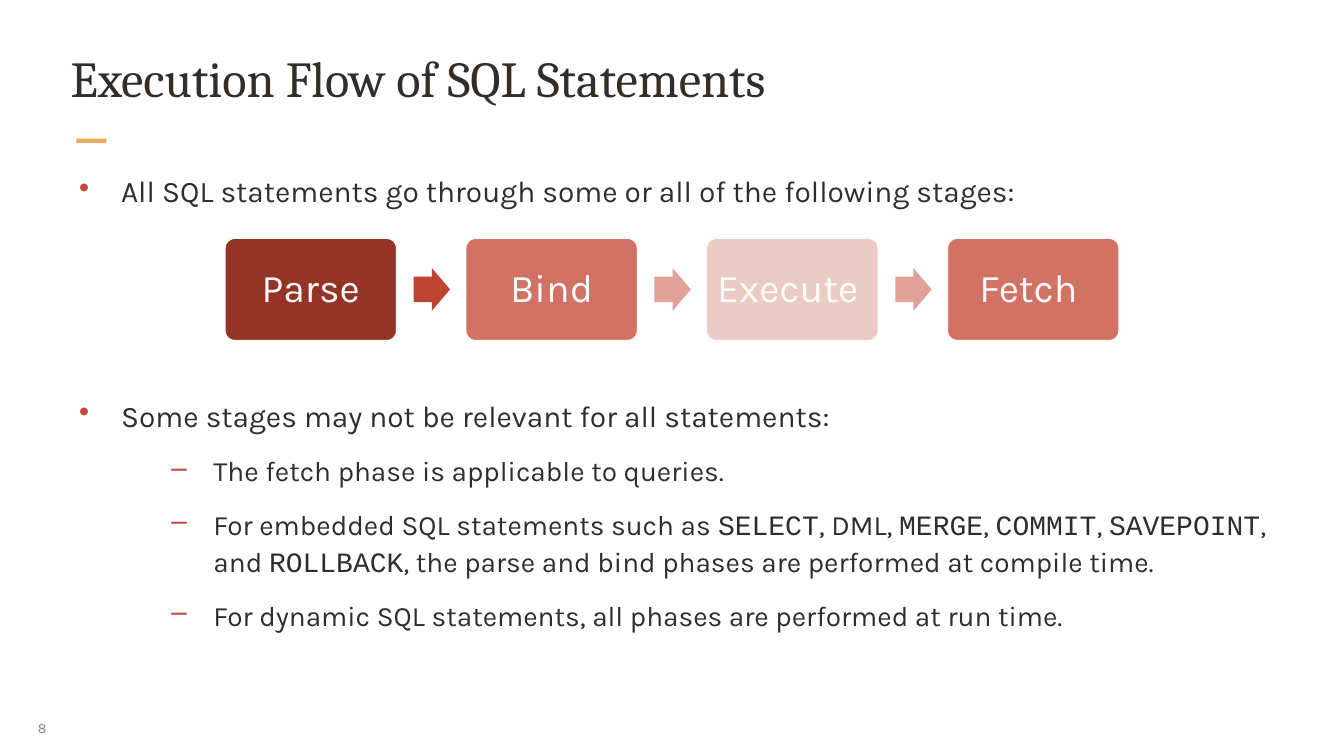
"""Build the slide on the execution flow of SQL statements."""
from lxml import etree
from pptx import Presentation
from pptx.dml.color import RGBColor
from pptx.enum.shapes import MSO_SHAPE
from pptx.enum.text import MSO_ANCHOR, PP_ALIGN
from pptx.oxml.ns import qn
from pptx.util import Pt

PX = 9525
RECTANGLE = MSO_SHAPE.RECTANGLE
ROUNDED = MSO_SHAPE.ROUNDED_RECTANGLE
ARROW = MSO_SHAPE.RIGHT_ARROW
TOP, MIDDLE = MSO_ANCHOR.TOP, MSO_ANCHOR.MIDDLE
LEFT, CENTER = PP_ALIGN.LEFT, PP_ALIGN.CENTER
INK, PAPER, ACCENT = "312D2A", "FCFBFA", "C74634"


def add_filled(kind, left, top, width, height, fill):
    shape = slide.shapes.add_shape(kind, left * PX, top * PX, width * PX, height * PX)
    shape.shadow.inherit = False
    shape.fill.solid()
    shape.fill.fore_color.rgb = RGBColor.from_string(fill)
    shape.line.fill.background()
    return shape


def write_text(shape, text, size, color=INK, font="Karla", inset=3, wrap=True, anchor=TOP,
               align=LEFT, spacing=1.0, before=0, bullet=None, indent=0):
    """Append one paragraph; parts between backticks are set as code."""
    frame = shape.text_frame
    frame.word_wrap = wrap
    frame.vertical_anchor = anchor
    frame.margin_left = frame.margin_right = inset * PX
    frame.margin_top = frame.margin_bottom = inset * PX
    paragraph = frame.paragraphs[0]
    if paragraph.runs:
        paragraph = frame.add_paragraph()
        paragraph.space_before = Pt(before)
    if bullet:
        properties = paragraph._p.get_or_add_pPr()
        properties.set("marL", str(indent * PX))
        properties.set("indent", str(-60 * PX))
        bullet_color = etree.SubElement(properties, qn("a:buClr"))
        etree.SubElement(bullet_color, qn("a:srgbClr"), val=ACCENT)
        etree.SubElement(properties, qn("a:buChar"), char=bullet)
    paragraph.alignment = align
    paragraph.line_spacing = spacing
    for index, part in enumerate(text.split("`")):
        run = paragraph.add_run()
        run.text = part
        run.font.size = Pt(size)
        run.font.name = "Courier New" if index % 2 else font
        run.font.color.rgb = RGBColor.from_string(color)


presentation = Presentation()
presentation.slide_width = 1920 * PX
presentation.slide_height = 1080 * PX
slide = presentation.slides.add_slide(presentation.slide_layouts[6])

add_filled(RECTANGLE, 109, 198, 43, 6, "E6AC58")

page_number = slide.shapes.add_textbox(42 * PX, 1012 * PX, 62 * PX, 56 * PX)
write_text(page_number, "8", 15, color="8B8078", inset=12, wrap=False, anchor=MIDDLE)

title = slide.shapes.add_textbox(98 * PX, 64 * PX, 1724 * PX, 123 * PX)
write_text(title, "Execution Flow of SQL Statements", 54, font="Cambria")

intro = slide.shapes.add_textbox(98 * PX, 239 * PX, 1724 * PX, 70 * PX)
write_text(intro, "All SQL statements go through some or all of the following stages:", 32,
           spacing=1.1, bullet="•", indent=72)

details = slide.shapes.add_textbox(98 * PX, 560 * PX, 1724 * PX, 400 * PX)
write_text(details, "Some stages may not be relevant for all statements:", 32,
           spacing=1.1, bullet="•", indent=72)
for note in (
    "The fetch phase is applicable to queries.",
    "For embedded SQL statements such as `SELECT`, DML, `MERGE`, `COMMIT`, `SAVEPOINT`, "
    "and `ROLLBACK`, the parse and bind phases are performed at compile time.",
    "For dynamic SQL statements, all phases are performed at run time.",
):
    write_text(details, note, 30, spacing=1.1, before=18, bullet="–", indent=204)

stages = [("Parse", "933426"), ("Bind", "D17265"), ("Execute ", "EBCBC6"), ("Fetch ", "D17265")]
arrow_fills = ["BE4332", "DFA198", "DFA198"]
for index, (stage, fill) in enumerate(stages):
    box = add_filled(ROUNDED, 321 + 344 * index, 340, 246, 147, fill)
    box.adjustments[0] = 0.1
    box.line.color.rgb = RGBColor.from_string(PAPER)
    box.line.width = Pt(2)
    write_text(box, stage, 42, color=PAPER, inset=10, anchor=MIDDLE, align=CENTER, spacing=0.9)
    if index < len(arrow_fills):
        arrow = add_filled(ARROW, 591 + 344 * index, 383, 52, 61, arrow_fills[index])
        arrow.adjustments[0] = 0.6
        arrow.adjustments[1] = 0.5

presentation.save("out.pptx")
